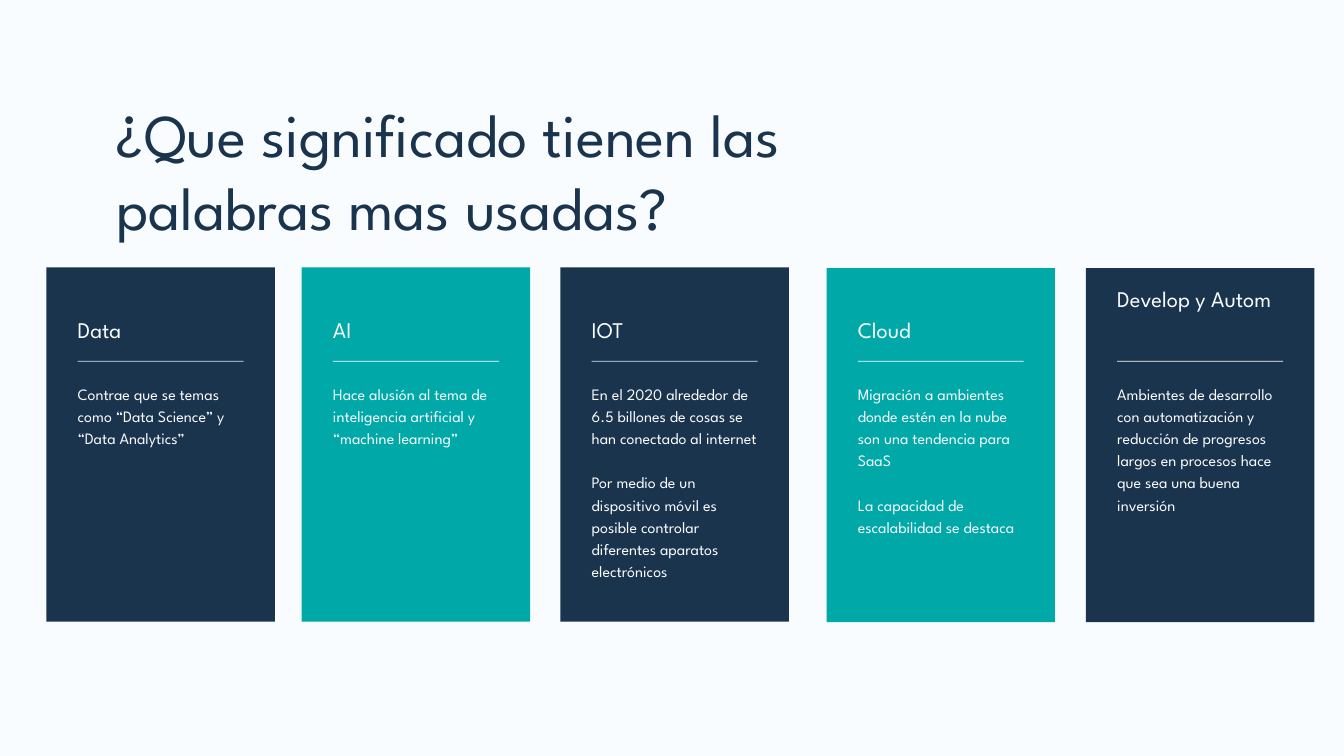
from pptx import Presentation
from pptx.dml.color import RGBColor
from pptx.enum.shapes import MSO_SHAPE
from pptx.enum.text import MSO_ANCHOR, MSO_AUTO_SIZE, PP_ALIGN
from pptx.util import Inches, Pt

NAVY = RGBColor(0x1B, 0x34, 0x4D)
TEAL = RGBColor(0x00, 0xA8, 0xA8)
PALE = RGBColor(0xF9, 0xFC, 0xFF)
ICE = RGBColor(0xC0, 0xF0, 0xF7)
FONT = "League Spartan"

TITLE = "¿Que significado tienen las palabras mas usadas?"
CARDS = [
    {"left": 0.69, "top": 3.98, "fill": NAVY, "rule": ICE, "heading": "Data", "heading_top": 4.64,
     "body": ["Contrae que se temas como “Data Science” y “Data Analytics”"]},
    {"left": 4.49, "top": 3.98, "fill": TEAL, "rule": PALE, "heading": "AI", "heading_top": 4.64,
     "body": ["Hace alusión al tema de inteligencia artificial y “machine learning”"]},
    {"left": 8.34, "top": 3.98, "fill": NAVY, "rule": ICE, "heading": "IOT", "heading_top": 4.64,
     "body": ["En el 2020 alrededor de 6.5 billones de cosas se han conectado al internet",
              "Por medio de un dispositivo móvil es posible controlar diferentes aparatos electrónicos"]},
    {"left": 12.3, "top": 3.99, "fill": TEAL, "rule": PALE, "heading": "Cloud", "heading_top": 4.64,
     "body": ["Migración a ambientes donde estén en la nube son una tendencia para SaaS",
              "La capacidad de escalabilidad se destaca"]},
    {"left": 16.16, "top": 3.99, "fill": NAVY, "rule": PALE, "heading": "Develop y Autom", "heading_top": 4.17,
     "body": ["Ambientes de desarrollo con automatización y reducción de progresos largos en "
              "procesos hace que sea una buena inversión"]},
]
CARD_WIDTH, CARD_HEIGHT = 3.4, 5.27
TEXT_WIDTH = 2.47
TEXT_INSET = (CARD_WIDTH - TEXT_WIDTH) / 2
RULE_TOP, RULE_HEIGHT = 5.37, 0.01
BODY_TOP, BODY_HEIGHT = 5.67, 3.21


def write_text(shape, paragraphs, size, line_spacing, color):
    text_frame = shape.text_frame
    text_frame.text = "\n".join(paragraphs)
    text_frame.word_wrap = True
    text_frame.auto_size = MSO_AUTO_SIZE.NONE
    text_frame.vertical_anchor = MSO_ANCHOR.TOP
    text_frame.margin_left = text_frame.margin_right = 0
    text_frame.margin_top = text_frame.margin_bottom = 0
    for index, paragraph in enumerate(text_frame.paragraphs):
        paragraph.alignment = PP_ALIGN.LEFT
        paragraph.line_spacing = Pt(line_spacing)
        paragraph.space_before = Pt(line_spacing if index else 0)
        for run in paragraph.runs:
            run.font.name = FONT
            run.font.size = Pt(size)
            run.font.color.rgb = color


def add_rectangle(slide, left, top, width, height, color):
    shape = slide.shapes.add_shape(
        MSO_SHAPE.RECTANGLE, Inches(left), Inches(top), Inches(width), Inches(height))
    shape.shadow.inherit = False
    shape.fill.solid()
    shape.fill.fore_color.rgb = color
    shape.line.fill.background()


def add_text(slide, left, top, height, paragraphs, size, line_spacing):
    box = slide.shapes.add_textbox(
        Inches(left), Inches(top), Inches(TEXT_WIDTH), Inches(height))
    write_text(box, paragraphs, size, line_spacing, PALE)


def add_card(slide, card):
    text_left = card["left"] + TEXT_INSET
    add_rectangle(slide, card["left"], card["top"], CARD_WIDTH, CARD_HEIGHT, card["fill"])
    add_rectangle(slide, text_left, RULE_TOP, TEXT_WIDTH, RULE_HEIGHT, card["rule"])
    add_text(slide, text_left, card["heading_top"], 0.43, [card["heading"]], 24, 33.6)
    add_text(slide, text_left, BODY_TOP, BODY_HEIGHT, card["body"], 17, 23.8)


def main():
    """Build the slide that explains five common technology terms."""
    presentation = Presentation()
    presentation.slide_width = Inches(20)
    presentation.slide_height = Inches(11.25)
    slide = presentation.slides.add_slide(presentation.slide_layouts[5])
    slide.background.fill.solid()
    slide.background.fill.fore_color.rgb = PALE

    title = slide.shapes.title
    title.left, title.top = Inches(1.73), Inches(1.44)
    title.width, title.height = Inches(11.26), Inches(2.16)
    write_text(title, [TITLE], 65, 78, NAVY)

    for card in CARDS:
        add_card(slide, card)
    presentation.save("out.pptx")


if __name__ == "__main__":
    main()
